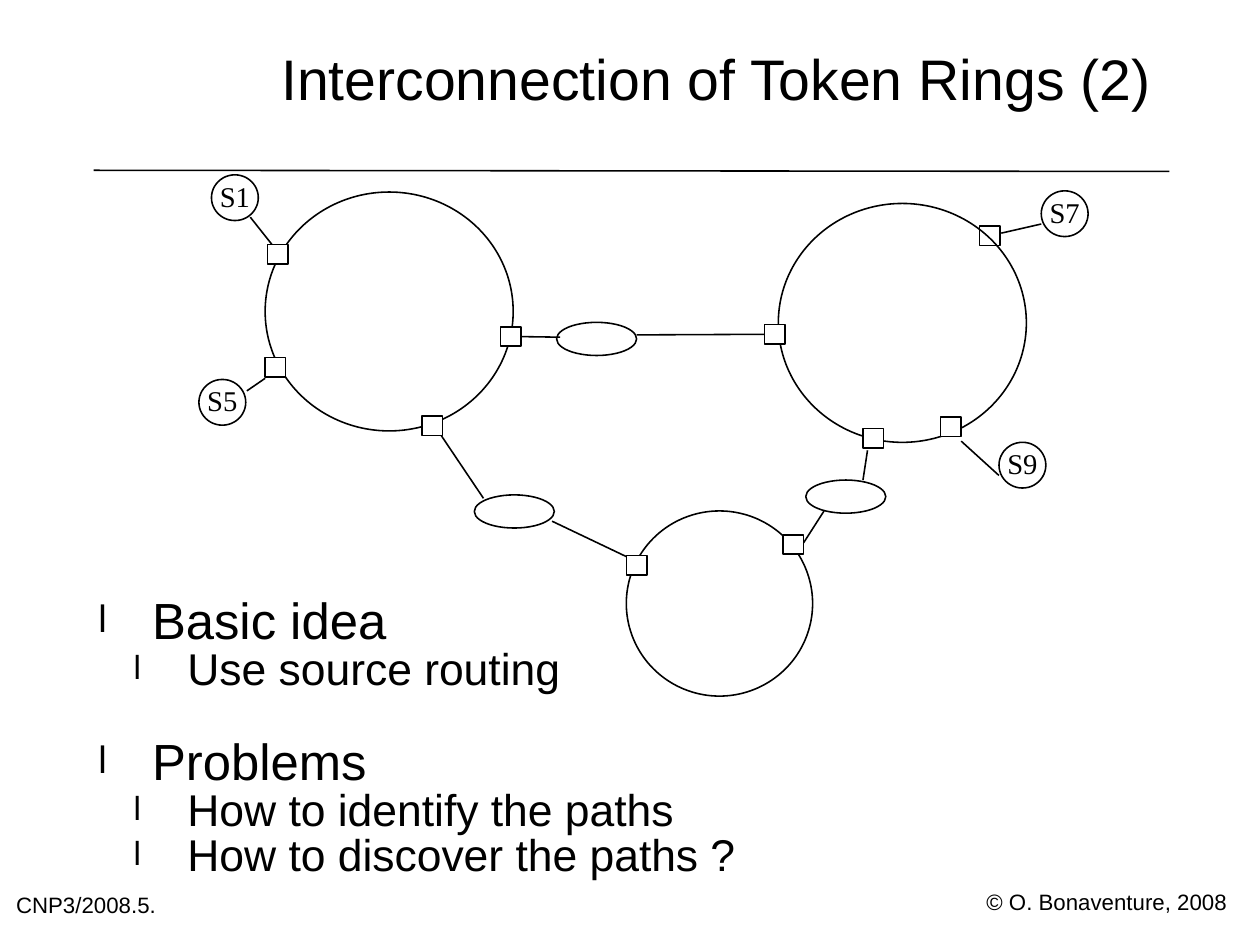
"""Build the slide on joining token rings with source routing."""
from lxml import etree
from pptx import Presentation
from pptx.dml.color import RGBColor
from pptx.enum.shapes import MSO_CONNECTOR, MSO_SHAPE
from pptx.enum.text import MSO_ANCHOR, PP_ALIGN
from pptx.oxml.ns import qn
from pptx.util import Inches, Pt

LINE = MSO_CONNECTOR.STRAIGHT
OVAL, RECT = MSO_SHAPE.OVAL, MSO_SHAPE.RECTANGLE
TOP, MIDDLE = MSO_ANCHOR.TOP, MSO_ANCHOR.MIDDLE
LEFT, CENTER = PP_ALIGN.LEFT, PP_ALIGN.CENTER
BLACK, WHITE = "000000", "FFFFFF"


def paint(part, color):
    part.solid()
    part.fore_color.rgb = RGBColor.from_string(color)


def write(shape, text, size, font="Arial", align=LEFT, anchor=TOP, wrap=True, pitch=0.84):
    frame = shape.text_frame
    frame.margin_left = frame.margin_right = frame.margin_top = frame.margin_bottom = 0
    frame.word_wrap, frame.vertical_anchor = wrap, anchor
    frame.text = text
    for para in frame.paragraphs:
        para.alignment, para.line_spacing = align, pitch
        for run in para.runs:
            run.font.size, run.font.name = Pt(size), font
            paint(run.font.fill, BLACK)
    return frame


deck = Presentation()
deck.slide_width, deck.slide_height = Inches(28 / 2.54), Inches(21 / 2.54)
slide = deck.slides.add_slide(deck.slide_layouts[6])
shapes = slide.shapes
paint(slide.background.fill, WHITE)

labels = [
    ("© O. Bonaventure, 2008", 14, (8.63, 7.81, 2.11, 0.2), LEFT, TOP, False),
    ("CNP3/2008.5.", 14, (0.14, 7.84, 1.68, 0.24), LEFT, TOP, True),
    ("Interconnection of Token Rings (2)", 36, (2.21, 0, 8.11, 1.46), CENTER, MIDDLE, True),
]
for text, size, place, align, anchor, wrap in labels:
    box = shapes.add_textbox(*map(Inches, place))
    write(box, text, size, align=align, anchor=anchor, wrap=wrap)

points = [
    ("Basic idea", 0, 0),
    ("Use source routing", 1, 0),
    ("Problems", 0, 28),
    ("How to identify the paths", 1, 0),
    ("How to discover the paths ?", 1, 0),
]
body = shapes.add_textbox(*map(Inches, (0.78, 5.24, 9.41, 3.03)))
frame = write(body, "\n".join(point[0] for point in points), 32)
for para, (text, level, gap) in zip(frame.paragraphs, points):
    para.level = level
    para.space_before = Pt(gap)
    props = para._p.get_or_add_pPr()
    props.set("marL", str(Inches((0.55, 0.86)[level])))
    props.set("indent", str(Inches(-0.47)))
    tint = etree.SubElement(props, qn("a:buClr"))
    etree.SubElement(tint, qn("a:srgbClr"), val=BLACK)
    etree.SubElement(props, qn("a:buSzPct"), val="75000")
    etree.SubElement(props, qn("a:buFont"), typeface="Arial")
    etree.SubElement(props, qn("a:buChar"), char="l")
    para.runs[0].font.size = Pt((32, 28)[level])

links = {
    "rule": (0.82, 1.49, 10.23, 1.5),
    "S1": (2.38, 2.14, 2.19, 1.9),
    "S7": (8.76, 2.04, 9.11, 1.96),
    "S5": (2.32, 3.31, 2.16, 3.42),
    "S9": (8.41, 3.86, 8.74, 4.16),
    "left to bridge": (4.56, 2.95, 4.9, 2.95),
    "bridge to right": (5.57, 2.93, 6.69, 2.93),
    "left to low bridge": (3.86, 3.81, 4.23, 4.36),
    "low bridge to bottom": (4.83, 4.56, 5.48, 4.87),
    "bottom to side bridge": (7.03, 4.75, 7.21, 4.47),
    "side bridge to right": (7.55, 4.2, 7.59, 3.94),
}
wires = {}
for name, ends in links.items():
    wire = shapes.add_connector(LINE, *map(Inches, ends))
    wire.line.width = Pt(1)
    paint(wire.line.fill, BLACK)
    etree.SubElement(wire._element.spPr, qn("a:effectLst"))
    wires[name] = wire

rings = [(2.32, 1.68, 2.17, 2.09), (6.81, 1.78, 2.17, 2.09), (5.48, 4.47, 1.63, 1.62)]
bridges = [(x, y, 0.7, 0.29) for x, y in [(4.87, 2.82), (4.15, 4.33), (7.05, 4.2)]]
spots = [(8.57, 1.98), (2.34, 2.14), (2.32, 3.13), (4.38, 2.86), (6.69, 2.84),
         (8.23, 3.65), (7.55, 3.75), (6.85, 4.68), (5.48, 4.86), (3.69, 3.64)]
ports = [(x, y, 0.18, 0.17) for x, y in spots]
hosts = {"S1": (1.85, 1.53), "S7": (9.11, 1.67), "S5": (1.74, 3.32), "S9": (8.74, 3.87)}

parts = [(RECT, ports[0], "")]
parts += [(OVAL, place, "") for place in rings + bridges]
parts += [(RECT, place, "") for place in ports[1:]]
parts += [(OVAL, (x, y, 0.41, 0.4), name) for name, (x, y) in hosts.items()]
drawn = {}
for kind, place, name in parts:
    node = shapes.add_shape(kind, *map(Inches, place))
    node.shadow.inherit = False
    node.line.width = Pt(1)
    paint(node.line.fill, BLACK)
    if kind == RECT:
        paint(node.fill, WHITE)
    else:
        node.fill.background()
    if name:
        write(node, name, 18, "Times New Roman", CENTER, MIDDLE, False, 0.93)
    drawn[place] = node

wires["left to bridge"].begin_connect(drawn[ports[3]], 3)
wires["bridge to right"].end_connect(drawn[ports[4]], 1)

deck.save("out.pptx")
